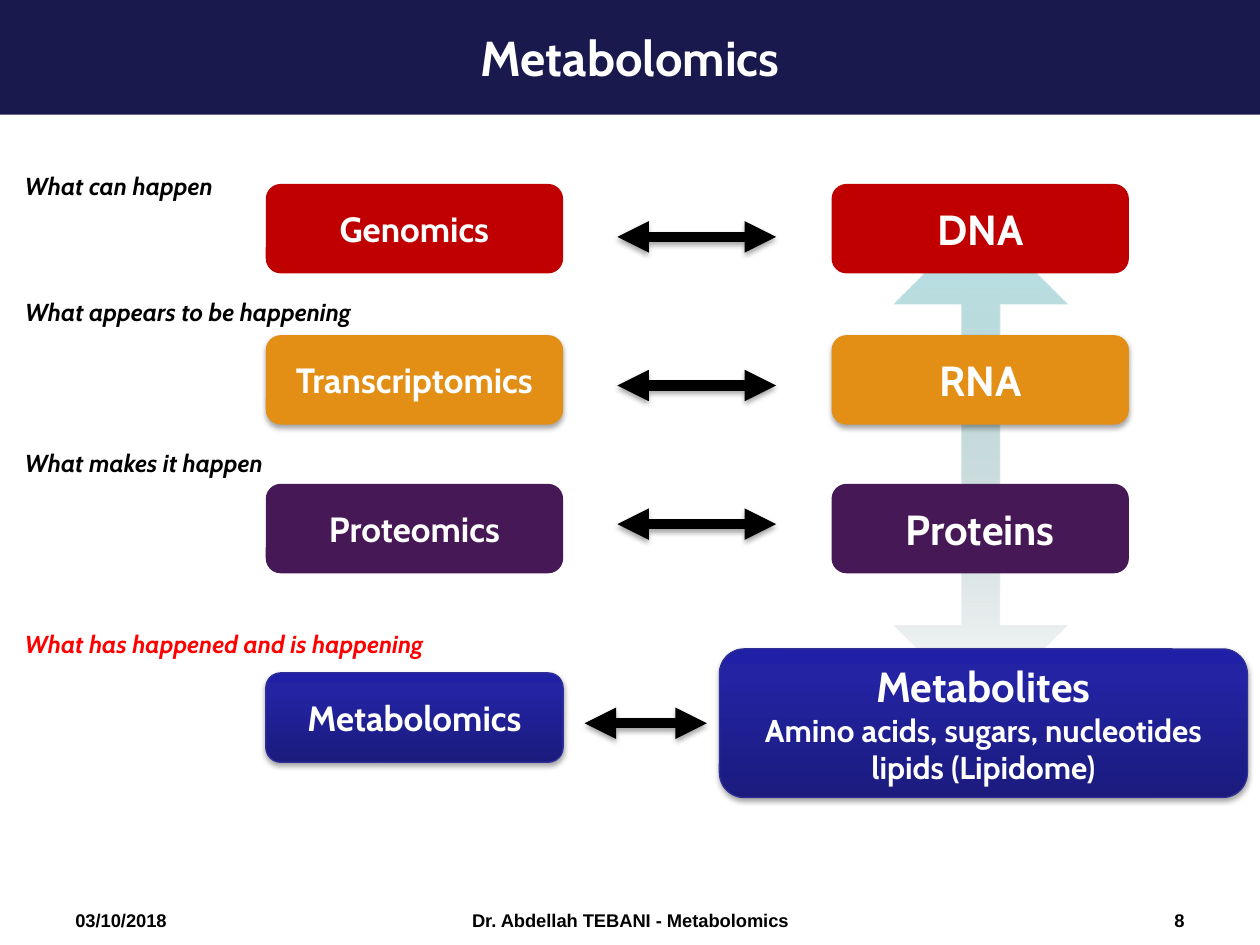
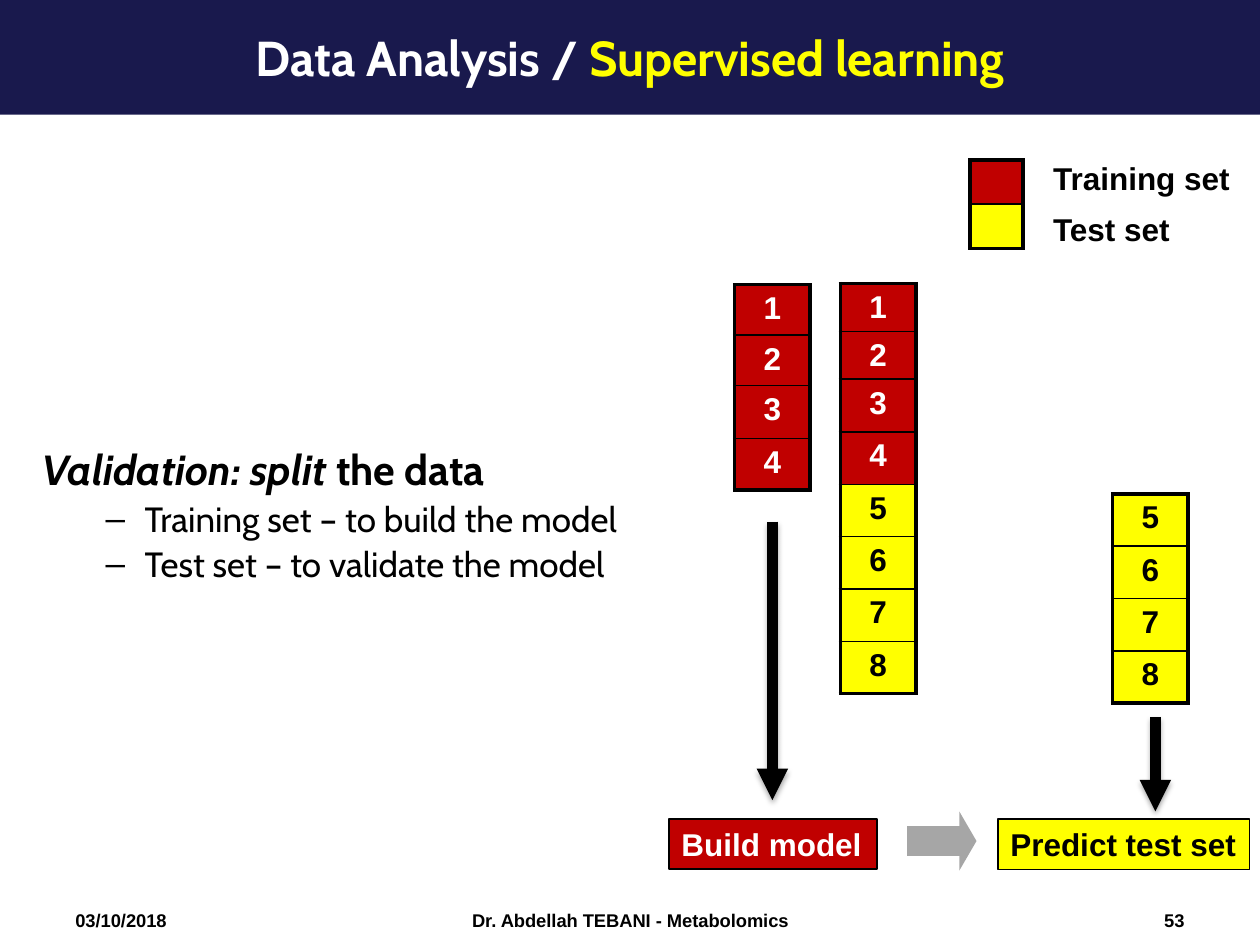
"""Build two slides on metabolomics: the omics cascade and supervised validation."""
from dataclasses import dataclass
from typing import Optional

from lxml.etree import SubElement
from pptx import Presentation
from pptx.dml.color import RGBColor
from pptx.enum.shapes import MSO_CONNECTOR, MSO_SHAPE
from pptx.enum.text import MSO_ANCHOR, MSO_AUTO_SIZE, PP_ALIGN
from pptx.oxml.ns import qn
from pptx.util import Inches, Pt

COLORS = {
    "navy": "19194D", "white": "FFFFFF", "black": "000000", "red": "C00000",
    "alert": "FF0000", "yellow": "FFFF00", "orange": "E38E15", "purple": "461855",
    "outline": "2F2F98", "gray": "A6A6A6",
}
HEADING_FONT = "Cabin"
BODY_FONT = "Arial"
BLUE_STOPS = [(0, "1B1B7E", 100), (80, "2323A3", 100), (100, "2020A6", 100)]
FLOW_STOPS = [(0, "799294", 0), (96, "B8E3E6", 100)]


@dataclass
class Run:
    """A piece of text with its own format."""
    text: str
    size: float
    color: str = "black"
    font: str = HEADING_FONT
    bold: bool = True
    italic: bool = False


@dataclass
class Box:
    """Place of an element in inches."""
    left: float
    top: float
    width: float
    height: float

    def lengths(self) -> list:
        """Return the place as slide lengths."""
        return [Inches(value) for value in (self.left, self.top, self.width, self.height)]


@dataclass
class OmicsLevel:
    """One row of the cascade: a question, a science and its molecules."""
    question: str
    question_box: Box
    science: str
    molecules: list
    science_top: float
    molecules_box: Box
    arrow: tuple
    color: Optional[str] = None
    shadow: bool = False
    question_color: str = "black"


@dataclass
class SampleTable:
    """A one-column stack of samples."""
    left: float
    top: float
    width: float
    heights: list
    labels: list
    test_start: int


def rgb(name: str) -> RGBColor:
    """Return a named colour."""
    return RGBColor.from_string(COLORS[name])


def add_runs(paragraph, runs: list) -> None:
    """Add formatted runs to a paragraph."""
    for item in runs:
        run = paragraph.add_run()
        run.text = item.text
        run.font.name = item.font
        run.font.size = Pt(item.size)
        run.font.bold = item.bold
        run.font.italic = item.italic
        run.font.color.rgb = rgb(item.color)


def write(shape, paragraphs: list, align=PP_ALIGN.LEFT, anchor=MSO_ANCHOR.TOP, wrap=True) -> None:
    """Fill a shape with paragraphs."""
    frame = shape.text_frame
    frame.word_wrap = wrap
    frame.auto_size = MSO_AUTO_SIZE.NONE
    frame.vertical_anchor = anchor
    for index, runs in enumerate(paragraphs):
        paragraph = frame.add_paragraph() if index else frame.paragraphs[0]
        paragraph.alignment = align
        add_runs(paragraph, runs)


def add_text(slide, box: Box, paragraphs: list, **options):
    """Add a text box."""
    shape = slide.shapes.add_textbox(*box.lengths())
    write(shape, paragraphs, **options)
    return shape


def add_block(slide, kind, box: Box, fill: Optional[str] = None, line: Optional[str] = None,
              width: float = 0.75):
    """Add a preset shape without shadow."""
    shape = slide.shapes.add_shape(kind, *box.lengths())
    shape.shadow.inherit = False
    if fill:
        shape.fill.solid()
        shape.fill.fore_color.rgb = rgb(fill)
    if line:
        shape.line.color.rgb = rgb(line)
        shape.line.width = Pt(width)
    else:
        shape.line.fill.background()
    return shape


def set_gradient(shape, stops: list) -> None:
    """Give a shape a gradient that runs from bottom to top."""
    shape.fill.gradient()
    gradient = shape.element.spPr.find(qn("a:gradFill"))
    for child in list(gradient):
        gradient.remove(child)
    stop_list = SubElement(gradient, qn("a:gsLst"))
    for position, color, opacity in stops:
        stop = SubElement(stop_list, qn("a:gs"), pos=str(position * 1000))
        value = SubElement(stop, qn("a:srgbClr"), val=color)
        SubElement(value, qn("a:alpha"), val=str(opacity * 1000))
    SubElement(gradient, qn("a:lin"), ang="16200000", scaled="0")


def add_shadow(effects) -> None:
    """Add a soft downward shadow to an effect list."""
    shadow = SubElement(effects, qn("a:outerShdw"), blurRad=str(Pt(3.1)), dist=str(Pt(1.8)),
                        dir="5400000", rotWithShape="0")
    color = SubElement(shadow, qn("a:srgbClr"), val=COLORS["black"])
    SubElement(color, qn("a:alpha"), val="35000")


def add_arrow(slide, start: tuple, end: tuple, double: bool = False) -> None:
    """Add a thick black arrow with a shadow."""
    arrow = slide.shapes.add_connector(
        MSO_CONNECTOR.STRAIGHT, *(Inches(value) for value in start + end))
    arrow.line.color.rgb = rgb("black")
    arrow.line.width = Pt(6)
    properties = arrow.element.spPr
    line = properties.find(qn("a:ln"))
    if double:
        SubElement(line, qn("a:headEnd"), type="triangle")
    SubElement(line, qn("a:tailEnd"), type="triangle")
    add_shadow(SubElement(properties, qn("a:effectLst")))


def add_slide(presentation, title: list, number: int):
    """Add a slide with title band and footer."""
    slide = presentation.slides.add_slide(presentation.slide_layouts[5])
    band = slide.shapes.title
    band.left, band.top, band.width, band.height = Box(0, 0, 10, 0.91).lengths()
    band.fill.solid()
    band.fill.fore_color.rgb = rgb("navy")
    write(band, [title], PP_ALIGN.CENTER, MSO_ANCHOR.MIDDLE)
    footers = [
        (Box(0.5, 7.17, 2.33, 0.33), "03/10/2018", PP_ALIGN.LEFT),
        (Box(3.42, 7.17, 3.17, 0.33), "Dr. Abdellah TEBANI - Metabolomics", PP_ALIGN.CENTER),
        (Box(7.17, 7.17, 2.33, 0.33), str(number), PP_ALIGN.RIGHT),
    ]
    for box, text, align in footers:
        add_text(slide, box, [[Run(text, 10.5, font=BODY_FONT)]], align=align)
    return slide


def add_omics_box(slide, box: Box, level: OmicsLevel, paragraphs: list) -> None:
    """Add a rounded box in the style of its level."""
    outline = None if level.color else "outline"
    shape = add_block(slide, MSO_SHAPE.ROUNDED_RECTANGLE, box, level.color, outline)
    if not level.color:
        set_gradient(shape, BLUE_STOPS)
    if level.shadow:
        add_shadow(shape.element.spPr.find(qn("a:effectLst")))
    write(shape, paragraphs, PP_ALIGN.CENTER, MSO_ANCHOR.MIDDLE)


def build_cascade(presentation) -> None:
    """Build the slide from genes to metabolites."""
    slide = add_slide(presentation, [Run("Metabolomics", 28, "white")], 8)
    flow = add_block(slide, MSO_SHAPE.UP_DOWN_ARROW, Box(7.09, 1.73, 1.38, 3.92))
    flow.adjustments[0], flow.adjustments[1] = 0.5, 0.22
    set_gradient(flow, FLOW_STOPS)
    levels = [
        OmicsLevel("What can happen", Box(0.1, 1.17, 2.94, 0.6), "Genomics", [("DNA", 24)],
                   1.46, Box(6.6, 1.46, 2.36, 0.71), (4.9, 6.16, 1.88), "red"),
        OmicsLevel("What appears to be happening", Box(0.1, 2.06, 3.51, 0.83),
                   "Transcriptomics", [("RNA", 24)], 2.66, Box(6.6, 2.66, 2.36, 0.71),
                   (4.9, 6.16, 3.06), "orange", True),
        OmicsLevel("What makes it happen", Box(0.1, 3.26, 2.94, 0.83), "Proteomics",
                   [("Proteins", 24)], 3.84, Box(6.6, 3.84, 2.36, 0.71),
                   (4.9, 6.16, 4.16), "purple"),
        OmicsLevel("What has happened and is happening", Box(0.1, 4.74, 4.17, 0.74),
                   "Metabolomics",
                   [("Metabolites", 24),
                    ("Amino acids, sugars, nucleotides lipids (Lipidome)", 18)],
                   5.34, Box(5.71, 5.15, 4.19, 1.18), (4.64, 5.61, 5.74), None, True, "alert"),
    ]
    for level in levels:
        add_omics_box(slide, level.molecules_box, level,
                      [[Run(text, size, "white")] for text, size in level.molecules])
        add_omics_box(slide, Box(2.11, level.science_top, 2.36, 0.71), level,
                      [[Run(level.science, 20, "white")]])
        start, end, height = level.arrow
        add_arrow(slide, (start, height), (end, height), double=True)
        add_text(slide, level.question_box,
                 [[Run(level.question, 14, level.question_color, italic=True)]],
                 anchor=MSO_ANCHOR.MIDDLE)


def add_border(cell, side: str, width: float) -> None:
    """Draw one black cell border."""
    line = SubElement(cell._tc.get_or_add_tcPr(), qn(f"a:ln{side}"), w=str(Pt(width)))
    fill = SubElement(line, qn("a:solidFill"))
    SubElement(fill, qn("a:srgbClr"), val=COLORS["black"])


def add_sample_table(slide, sample: SampleTable) -> None:
    """Add a stack of training and test samples."""
    count = len(sample.labels)
    box = Box(sample.left, sample.top, sample.width, sum(sample.heights))
    table = slide.shapes.add_table(count, 1, *box.lengths()).table
    table.first_row = table.horz_banding = False
    table.columns[0].width = Inches(sample.width)
    for index, (label, height) in enumerate(zip(sample.labels, sample.heights)):
        table.rows[index].height = Inches(height)
        cell = table.cell(index, 0)
        cell.margin_top = Inches(0.05 if label else 0)
        cell.margin_bottom = Inches(0.03 if label else 0)
        top = 1 if index else 2.25
        bottom = 1 if index < count - 1 else 2.25
        for side, width in (("L", 2.25), ("R", 2.25), ("T", top), ("B", bottom)):
            add_border(cell, side, width)
        is_test = index >= sample.test_start
        cell.fill.solid()
        cell.fill.fore_color.rgb = rgb("yellow" if is_test else "red")
        if label:
            paragraph = cell.text_frame.paragraphs[0]
            paragraph.alignment = PP_ALIGN.CENTER
            add_runs(paragraph, [Run(label, 18, "black" if is_test else "white", BODY_FONT)])


def add_validation_text(slide) -> None:
    """Add the heading and dashed list on data splitting."""
    points = ["Training set – to build the model", "Test set – to validate the model"]
    heading = [Run("Validation: split", 24, italic=True), Run(" the data", 24)]
    shape = add_text(slide, Box(0.24, 3.52, 5.18, 1.63),
                     [heading] + [[Run(text, 20, bold=False)] for text in points])
    for index, paragraph in enumerate(shape.text_frame.paragraphs):
        paragraph.line_spacing = 0.9
        if index:
            paragraph.level = 1
            paragraph.space_before = Pt(4)
            properties = paragraph._p.get_or_add_pPr()
            properties.set("marL", str(Inches(0.81)))
            properties.set("indent", str(Inches(-0.31)))
            SubElement(properties, qn("a:buFont"), typeface=BODY_FONT)
            SubElement(properties, qn("a:buChar"), char="–")


def build_validation(presentation) -> None:
    """Build the slide on training and test sets."""
    title = [Run("Data Analysis / ", 28, "white"), Run("Supervised learning", 28, "yellow")]
    slide = add_slide(presentation, title, 53)
    add_validation_text(slide)
    samples = [str(number) for number in range(1, 9)]
    tables = [
        SampleTable(6.67, 2.25, 0.6, [0.38, 0.38, 0.42] + [0.415] * 5, samples, 4),
        SampleTable(7.7, 1.27, 0.42, [0.35] * 2, ["", ""], 1),
        SampleTable(5.83, 2.26, 0.6, [0.4, 0.4, 0.42, 0.41], samples[:4], 4),
        SampleTable(8.83, 3.92, 0.6, [0.415] * 4, samples[4:], 0),
    ]
    for table in tables:
        add_sample_table(slide, table)
    for text, top, width in (("Training set", 1.21, 1.62), ("Test set", 1.62, 1.16)):
        add_text(slide, Box(8.26, top, width, 0.4), [[Run(text, 18, font=BODY_FONT)]], wrap=False)
    steps = [
        ("Build model", Box(5.31, 6.5, 1.65, 0.4), "red", "white", 1),
        ("Predict test set", Box(7.92, 6.5, 2, 0.4), "yellow", "black", 0.75),
    ]
    for text, box, fill, color, width in steps:
        step = add_block(slide, MSO_SHAPE.RECTANGLE, box, fill, "black", width)
        write(step, [[Run(text, 18, color, BODY_FONT)]], wrap=False)
    next_step = add_block(slide, MSO_SHAPE.RIGHT_ARROW, Box(7.2, 6.44, 0.55, 0.47), "gray")
    next_step.adjustments[0], next_step.adjustments[1] = 0.5, 0.29
    add_arrow(slide, (6.13, 4.14), (6.13, 6.35))
    add_arrow(slide, (9.17, 5.69), (9.17, 6.44))


def main() -> None:
    """Build and save the presentation."""
    presentation = Presentation()
    presentation.slide_width, presentation.slide_height = Inches(10), Inches(7.5)
    build_cascade(presentation)
    build_validation(presentation)
    presentation.save("out.pptx")


if __name__ == "__main__":
    main()
